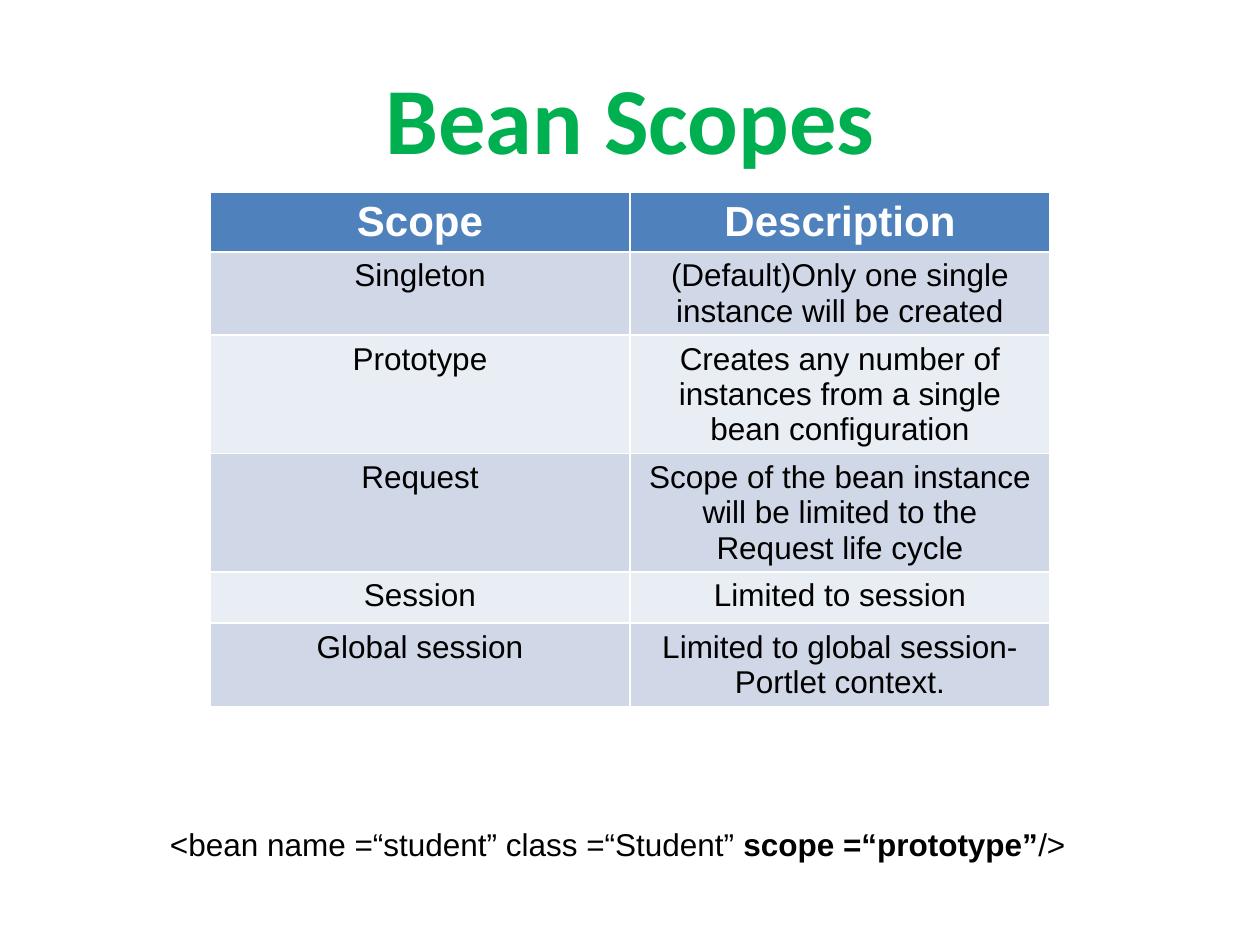
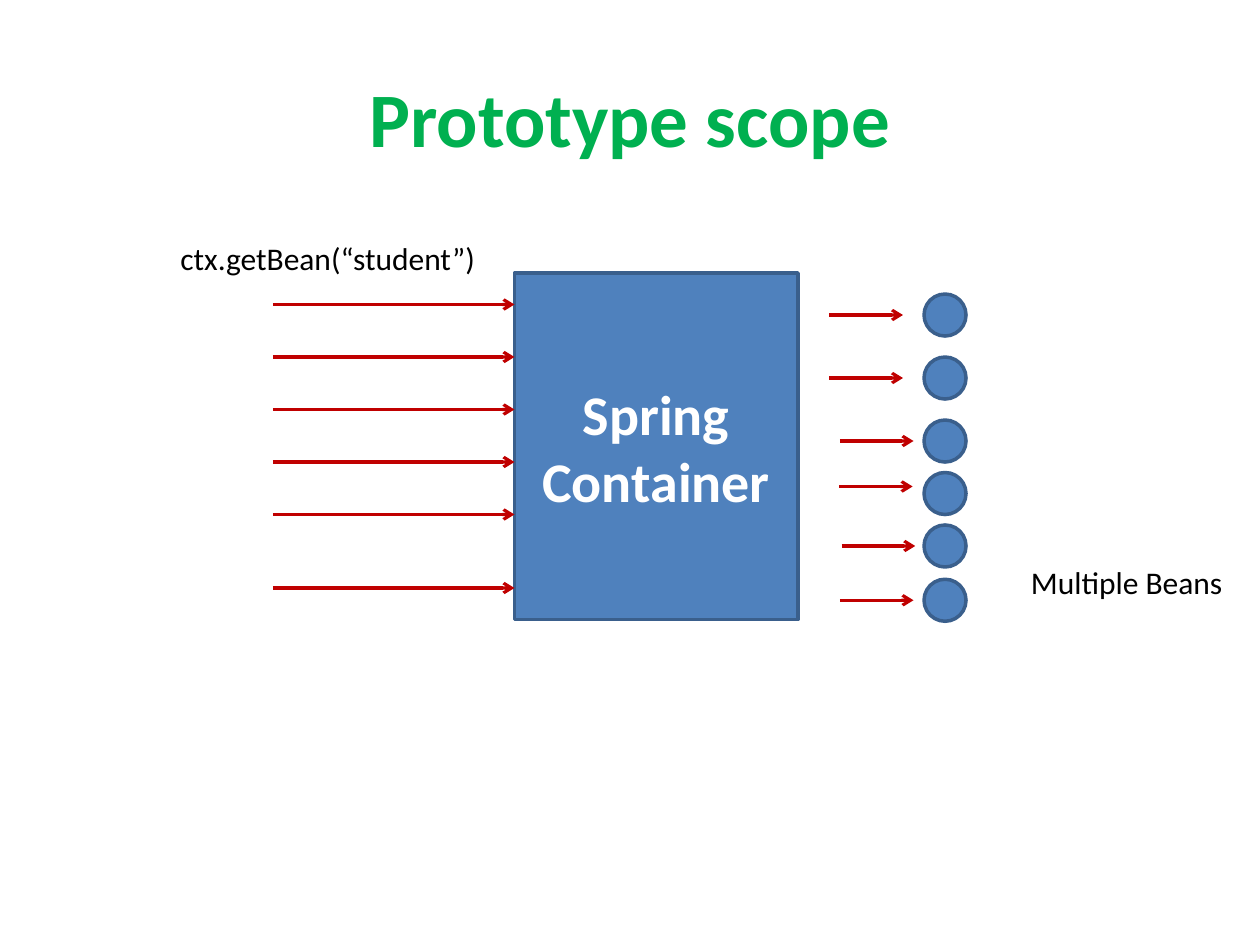
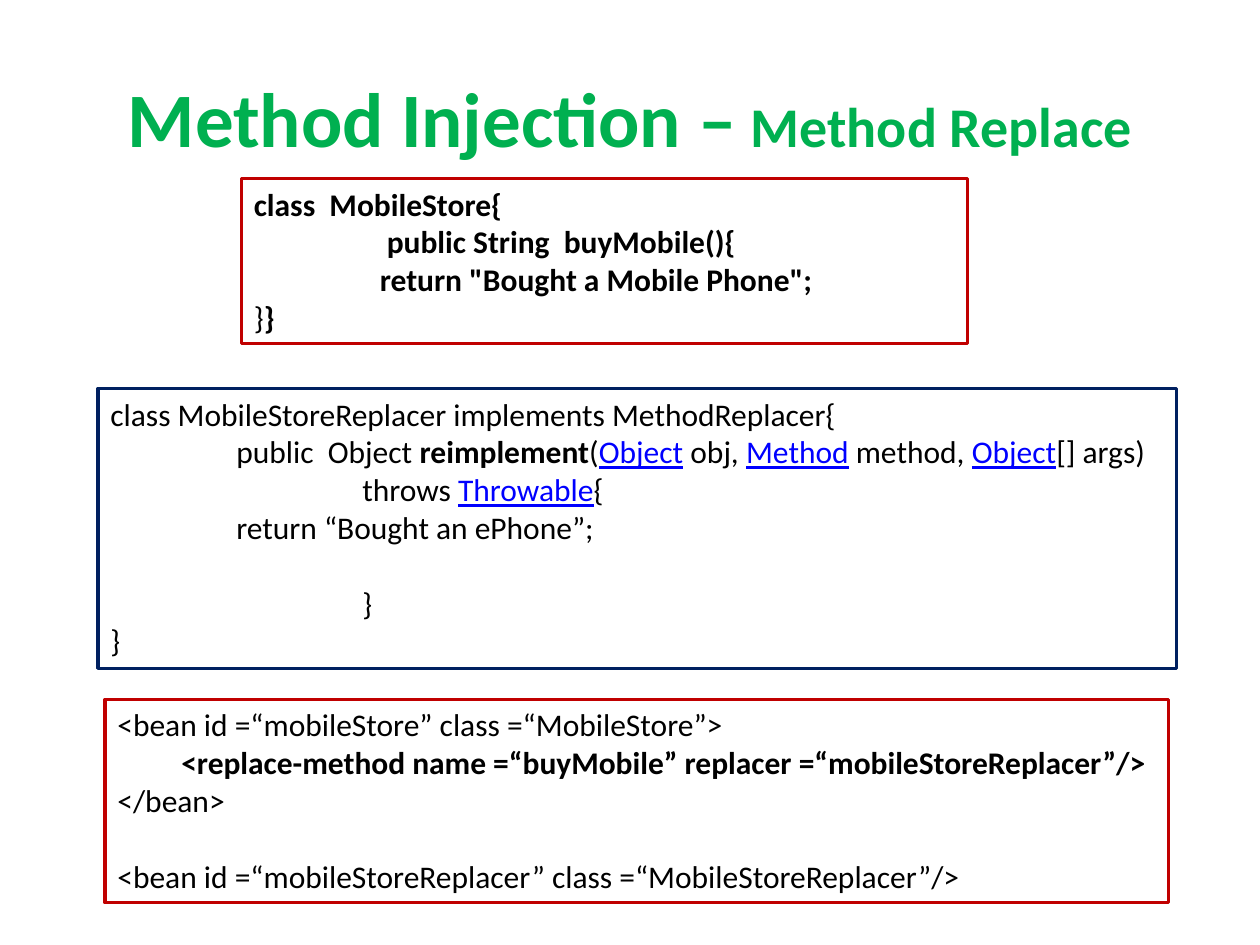
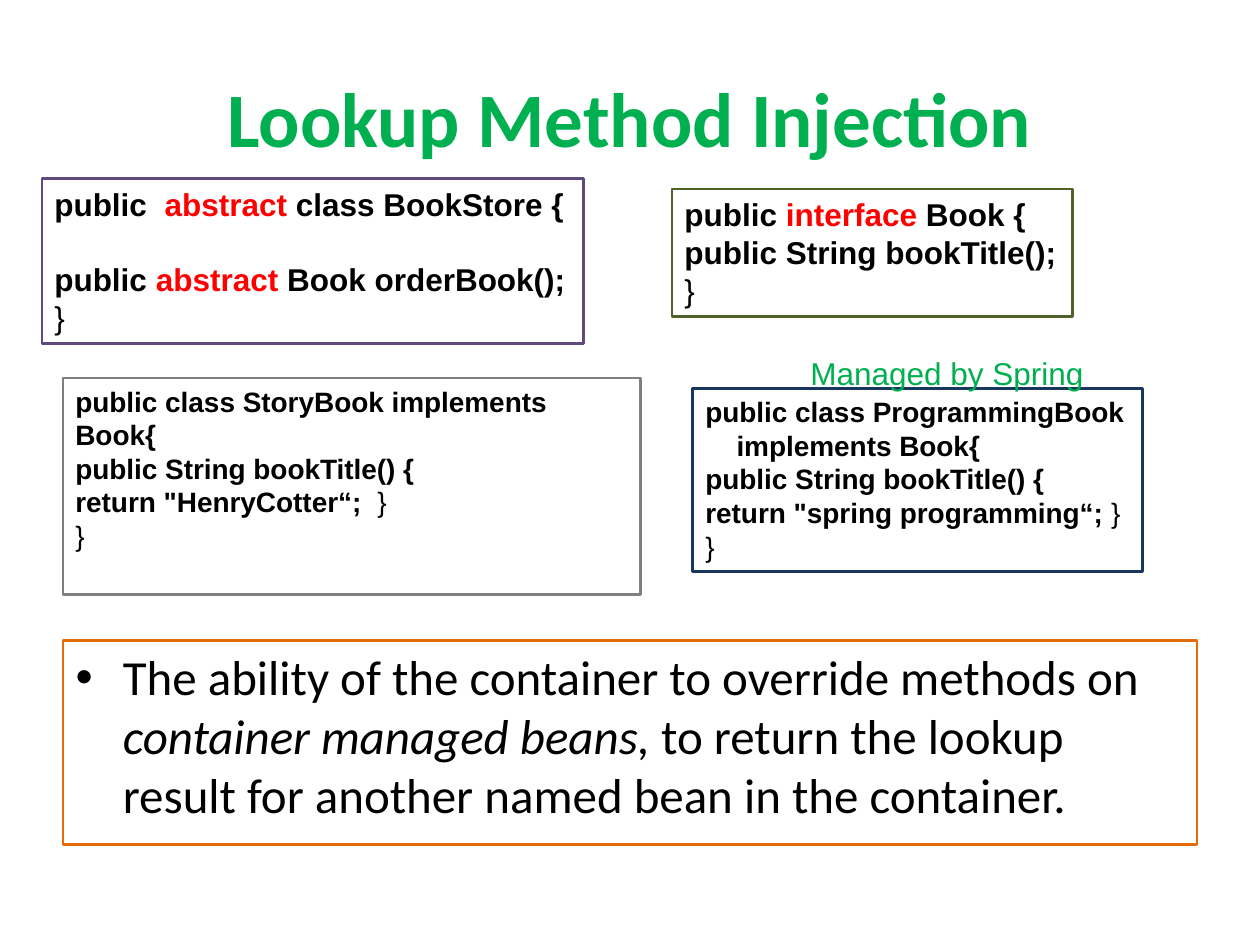
from collections import namedtuple

from lxml.etree import SubElement
from pptx import Presentation
from pptx.dml.color import RGBColor
from pptx.enum.shapes import MSO_CONNECTOR, MSO_SHAPE
from pptx.enum.text import MSO_ANCHOR, MSO_AUTO_SIZE, PP_ALIGN
from pptx.oxml.ns import qn
from pptx.util import Pt

COLORS = {
    "title": "00B050", "text": "000000", "white": "FFFFFF",
    "accent": "4F81BD", "accent_edge": "3A5F8C",
    "band_dark": "D0D8E8", "band_light": "E9EDF4",
    "red": "C00000", "keyword": "FF0000", "link": "0000FF",
    "navy": "002060", "purple": "604A7B", "olive": "4F6228",
    "gray": "808080", "blue": "17375E", "orange": "E46C0A",
}
CALIBRI = {"name": "Calibri", "size": Pt(18), "bold": False, "color": "text"}
ARIAL = {**CALIBRI, "name": "Arial"}
ARIAL_BOLD = {**ARIAL, "bold": True}
ARIAL_SMALL = {**ARIAL_BOLD, "size": Pt(16)}
TITLE = {**CALIBRI, "size": Pt(44), "bold": True, "color": "title"}

BOLD = {"bold": True}
PLAIN = {"bold": False}
ITALIC = {"italic": True}
KEYWORD = {"color": "keyword"}
LINK = {"color": "link", "underline": True}

TITLE_ONLY, TITLE_AND_BODY = 5, 1
TAB = 72
BLANK_LINE = 21.6

# A line of text: its runs (plain string or (string, format)), indent and gap above
Line = namedtuple("Line", "runs indent before", defaults=(0, 0))


def rgb(color):
    """Return the named colour."""
    return RGBColor.from_string(COLORS[color])


def set_font(font, values):
    """Set every format value on a font."""
    for attribute, value in values.items():
        if attribute == "color":
            font.color.rgb = rgb(value)
        else:
            setattr(font, attribute, value)


def write(frame, lines, base, align=PP_ALIGN.LEFT, anchor=MSO_ANCHOR.TOP):
    """Fill a text frame with formatted lines."""
    for attribute, value in {"word_wrap": True, "auto_size": MSO_AUTO_SIZE.NONE,
                             "vertical_anchor": anchor}.items():
        setattr(frame, attribute, value)
    for number, line in enumerate(lines):
        paragraph = frame.add_paragraph() if number else frame.paragraphs[0]
        paragraph.alignment = align
        if line.before:
            paragraph.space_before = Pt(line.before)
        if line.indent:
            paragraph._p.get_or_add_pPr().set("marL", str(Pt(line.indent)))
        for part in line.runs:
            words, style = (part, {}) if isinstance(part, str) else part
            run = paragraph.add_run()
            run.text = words
            set_font(run.font, {**base, **style})


def place(shape, left, top, width, height):
    """Move and size a shape, in points."""
    for attribute, value in zip(("left", "top", "width", "height"),
                                (left, top, width, height)):
        setattr(shape, attribute, Pt(value))


def outline(shape, color, weight):
    """Give a shape or connector a solid line."""
    shape.line.color.rgb = rgb(color)
    shape.line.width = Pt(weight)


def add_slide(deck, title_runs, layout=TITLE_ONLY, **changes):
    """Add a slide with the shared title style."""
    slide = deck.slides.add_slide(deck.slide_layouts[layout])
    place(slide.shapes.title, 36, 21.6, 648, 90)
    write(slide.shapes.title.text_frame, [Line(title_runs)], {**TITLE, **changes},
          PP_ALIGN.CENTER, MSO_ANCHOR.MIDDLE)
    return slide


def add_label(slide, box, runs, base):
    """Add a one-line text box."""
    label = slide.shapes.add_textbox(*map(Pt, box))
    write(label.text_frame, [Line(runs)], base)


def add_shape(slide, preset, box, edge, weight, fill=None):
    """Add a preset shape without shadow."""
    shape = slide.shapes.add_shape(preset, *map(Pt, box))
    shape.shadow.inherit = False
    if fill:
        shape.fill.solid()
        shape.fill.fore_color.rgb = rgb(fill)
    else:
        shape.fill.background()
    outline(shape, edge, weight)
    return shape


def add_code(slide, box, edge, lines, base, weight=1.5):
    """Add a framed code listing."""
    frame = add_shape(slide, MSO_SHAPE.RECTANGLE, box, edge, weight)
    write(frame.text_frame, lines, base)


def add_arrow(slide, left, y, length):
    """Add a horizontal arrow pointing right."""
    arrow = slide.shapes.add_connector(
        MSO_CONNECTOR.STRAIGHT, Pt(left), Pt(y), Pt(left + length), Pt(y))
    outline(arrow, "red", 1.75)
    SubElement(arrow.line._get_or_add_ln(), qn("a:tailEnd"), type="arrow")
    SubElement(arrow._element.spPr, qn("a:effectLst"))


def add_scope_table(slide, rows, heights):
    """Add the table of scopes with a header and banded rows."""
    table = slide.shapes.add_table(
        len(rows), 2, Pt(120), Pt(110), Pt(480), Pt(sum(heights))).table
    for number, (entries, height) in enumerate(zip(rows, heights)):
        table.rows[number].height = Pt(height)
        if number == 0:
            fill = "accent"
            base = {**ARIAL_BOLD, "size": Pt(24), "color": "white"}
        else:
            fill = "band_dark" if number % 2 else "band_light"
            base = ARIAL
        for column, entry in enumerate(entries):
            cell = table.cell(number, column)
            cell.fill.solid()
            cell.fill.fore_color.rgb = rgb(fill)
            write(cell.text_frame, [Line([entry])], base, PP_ALIGN.CENTER)


def bean_scopes(deck):
    """Slide with the table of bean scopes."""
    slide = add_slide(deck, ["Bean Scopes"], size=Pt(54))
    add_scope_table(slide, [
        ("Scope", "Description"),
        ("Singleton", "(Default)Only one single instance will be created"),
        ("Prototype", "Creates any number of instances from a single bean configuration"),
        ("Request", "Scope of the bean instance will be limited to the Request life cycle"),
        ("Session", "Limited to session"),
        ("Global session", "Limited to global session- Portlet context."),
    ], [33.7, 47.4, 67.7, 67.7, 29.2, 47.8])
    add_label(slide, (90, 468, 531.4, 28.8),
              ["<bean name =“student” class =“Student” ",
               ("scope =“prototype”", BOLD), "/>"], ARIAL)


def prototype_scope(deck):
    """Slide with requests entering the container and beans leaving it."""
    slide = add_slide(deck, ["Prototype scope"])
    container = add_shape(slide, MSO_SHAPE.RECTANGLE, (294, 156, 162, 198),
                          "accent_edge", 2, "accent")
    write(container.text_frame, [Line(["Spring Container"])],
          {**TITLE, "size": Pt(32), "color": "white"},
          PP_ALIGN.CENTER, MSO_ANCHOR.MIDDLE)
    for request_y in (*range(174, 295, 30), 336):
        add_arrow(slide, 156, request_y, 138)
    for left, y, bean_top in ((474, 180, 168), (474, 216, 204), (480, 252, 240),
                              (479.5, 278, 270), (481, 312, 300), (480, 343, 331)):
        add_arrow(slide, left, y, 42)
        add_shape(slide, MSO_SHAPE.OVAL, (528, bean_top, 24, 24),
                  "accent_edge", 2, "accent")
    add_label(slide, (96, 133.2, 185, 28.8), ["ctx.getBean(“student”)"], CALIBRI)
    add_label(slide, (582, 318.2, 125.5, 28.8), ["Multiple Beans"], CALIBRI)


def method_replace(deck):
    """Slide with the listings for method replacement."""
    slide = add_slide(deck, ["Method Injection –", (" Method Replace", {"size": Pt(32)})])
    add_code(slide, (138, 102, 414.7, 94.3), "red", [
        Line(["class  MobileStore{"]),
        Line(["public String  buyMobile(){"], TAB + 4),
        Line(['return "Bought a Mobile Phone";'], TAB),
        Line([("}", PLAIN), "}"]),
    ], {**CALIBRI, **BOLD}, 1.75)
    add_code(slide, (56, 222, 616.3, 160), "navy", [
        Line(["class MobileStoreReplacer implements MethodReplacer{"]),
        Line(["public  Object ", ("reimplement", BOLD), "(", ("Object", LINK),
              "\u00a0obj, ", ("Method", LINK), "\u00a0method, ", ("Object", LINK),
              "[]\u00a0args)"], TAB),
        Line(["throws ", ("Throwable", LINK), "{"], 2 * TAB),
        Line(["return “Bought an ePhone”;"], TAB),
        Line(["}"], 2 * TAB, BLANK_LINE),
        Line(["}"]),
    ], CALIBRI, 1.75)
    add_code(slide, (60, 399.6, 607.7, 116.4), "red", [
        Line(["<bean id =“mobileStore” class =“MobileStore”>"]),
        Line([("<replace-method name =“buyMobile” replacer =“mobileStoreReplacer”/>",
               BOLD)], 36.5),
        Line(["</bean>"]),
        Line(["<bean id =“mobileStoreReplacer” class =“MobileStoreReplacer”/>"],
             before=BLANK_LINE),
    ], CALIBRI, 1.75)


def lookup_injection(deck):
    """Slide with the listings for lookup method injection."""
    slide = add_slide(deck, ["Lookup Method Injection"], TITLE_AND_BODY)
    summary = slide.placeholders[1]
    place(summary, 36, 366, 648, 116.6)
    outline(summary, "orange", 1.5)
    write(summary.text_frame, [Line([
        "The ability of the container to override methods on ",
        ("container managed beans, ", ITALIC),
        "to return the lookup result for another named bean in the container.",
    ], before=5.6)], {**CALIBRI, "size": Pt(28)})

    closing = Line([("}", PLAIN)])
    book_title = Line(["public String bookTitle() {"])
    add_code(slide, (24, 102, 309.6, 94.3), "purple", [
        Line(["public  ", ("abstract ", KEYWORD), "class BookStore {"]),
        Line(["public ", ("abstract", KEYWORD), " Book orderBook();"], before=BLANK_LINE),
        closing,
    ], ARIAL_BOLD)
    add_code(slide, (384, 108, 229, 72.7), "olive", [
        Line(["public ", ("interface", KEYWORD), " Book {"]),
        Line(["public String bookTitle();"]),
        closing,
    ], ARIAL_BOLD)
    add_code(slide, (36, 216, 330, 123.8), "gray", [
        Line(["public class StoryBook implements Book{"]),
        book_title,
        Line(['return "HenryCotter“;  ', ("}", PLAIN)]),
        closing,
    ], ARIAL_SMALL)
    add_code(slide, (396, 222, 257, 104.4), "blue", [
        Line(["public class ProgrammingBook"]),
        Line(["implements Book{"], 17.8),
        book_title,
        Line(['return "spring programming“; ', ("}", PLAIN)]),
        closing,
    ], ARIAL_SMALL, 1.75)
    add_label(slide, (456, 198.7, 172.1, 28.8), ["Managed by Spring"],
              {**ARIAL, "color": "title"})


def main():
    """Build the deck and save it."""
    deck = Presentation()
    deck.slide_width, deck.slide_height = Pt(720), Pt(540)
    for build in (bean_scopes, prototype_scope, method_replace, lookup_injection):
        build(deck)
    deck.save("out.pptx")


main()
